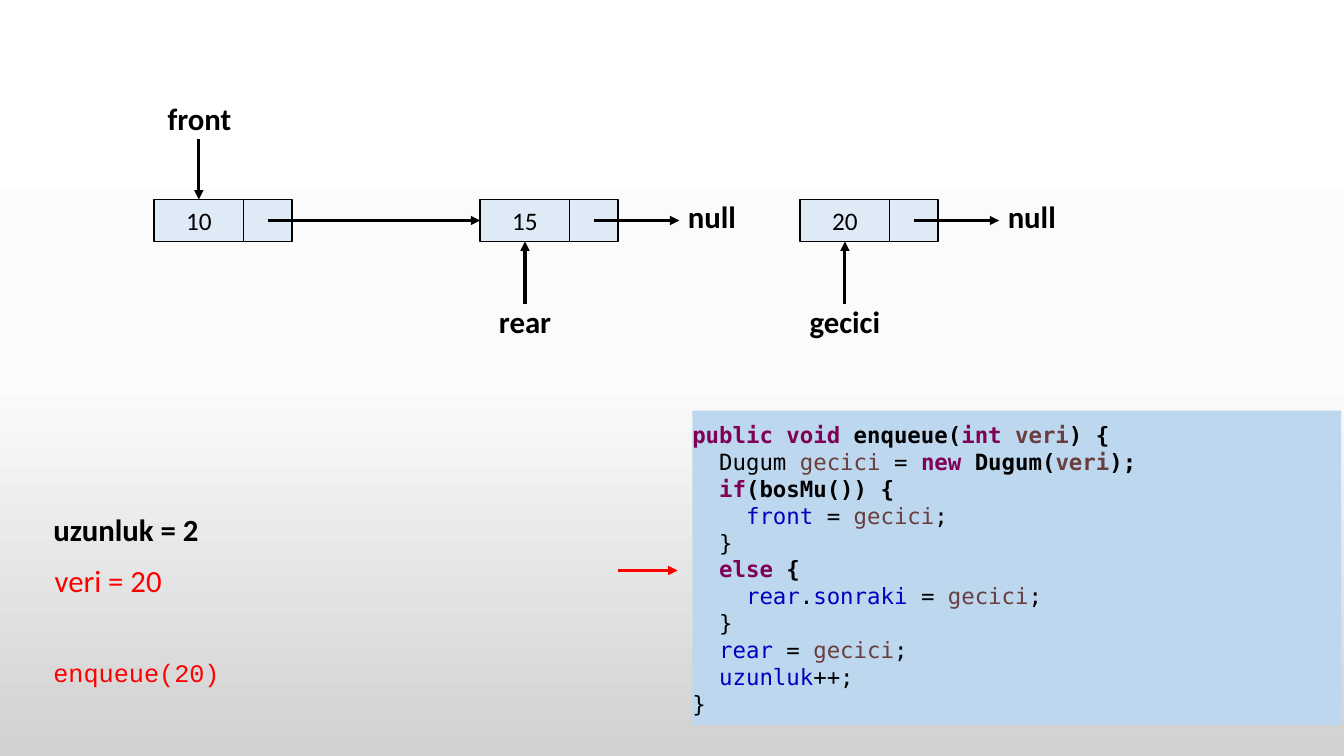
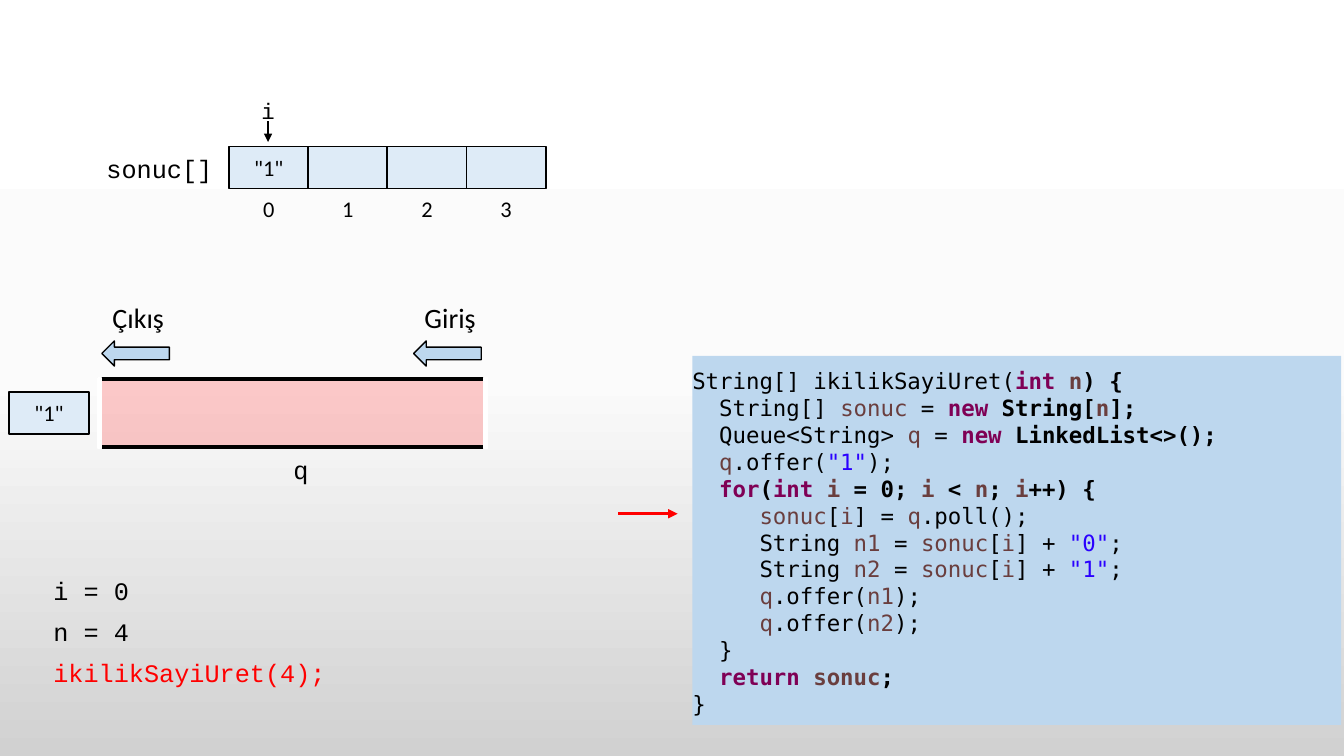
from copy import deepcopy

from lxml import etree
from pptx import Presentation
from pptx.dml.color import RGBColor
from pptx.enum.shapes import MSO_CONNECTOR, MSO_SHAPE
from pptx.enum.text import MSO_ANCHOR, PP_ALIGN
from pptx.oxml.ns import qn
from pptx.util import Pt

RECTANGLE, LEFT_ARROW = MSO_SHAPE.RECTANGLE, MSO_SHAPE.LEFT_ARROW
STRAIGHT = MSO_CONNECTOR.STRAIGHT
LEFT, CENTER = PP_ALIGN.LEFT, PP_ALIGN.CENTER
TOP, MIDDLE, BOTTOM = MSO_ANCHOR.TOP, MSO_ANCHOR.MIDDLE, MSO_ANCHOR.BOTTOM
TOP_SIDE, LEFT_SIDE, BOTTOM_SIDE = 0, 1, 2

COLORS = {
    "black": "000000", "white": "FFFFFF", "red": "FF0000",
    "cell": "DEEBF7", "panel": "BDD7EE",
    "keyword": "7F0055", "variable": "6A3E3E", "field": "0000C0", "string": "2A00FF",
}
BACKGROUND_STOPS = [(0, "FFFFFF"), (0.5, "FBFBFB"), (1, "D1D1D1")]

# Text formats
LABEL = {"name": "Calibri", "size": Pt(22), "bold": True}
VALUE = {"name": "Calibri", "size": Pt(22), "bold": False}
DIRECTION = {"name": "Calibri", "size": Pt(20), "bold": False}
NODE_TEXT = {"name": "Calibri", "size": Pt(18), "bold": False}
CELL_TEXT = {"name": "Calibri", "size": Pt(16), "bold": False}
MONO = {"name": "Courier New", "size": Pt(18), "bold": False}
SMALL_MONO = {"name": "Courier New", "size": Pt(16), "bold": False}
CODE = {"name": "DejaVu Sans Mono", "size": Pt(16)}

# Code runs start with a style letter and are separated by ¦
CODE_STYLES = {
    "K": ("keyword", True), "B": ("black", True), "V": ("variable", True),
    "p": ("black", False), "v": ("variable", False),
    "f": ("field", False), "s": ("string", False),
}
ENQUEUE_CODE = [
    "Kpublic void ¦Benqueue(¦Kint ¦Vveri¦B) {",
    "p  Dugum ¦vgecici¦p = ¦Knew ¦BDugum(¦Vveri¦B);",
    "K  if¦B(bosMu()) {",
    "f    front ¦p= ¦vgecici¦p;",
    "p  }",
    "K  else ¦B{",
    "f    rear¦p.¦fsonraki ¦p= ¦vgecici¦p;",
    "p  }",
    "f  rear ¦p= ¦vgecici¦p;",
    "f  uzunluk¦p++;",
    "p}",
]
BINARY_CODE = [
    "pString[] ikilikSayiUret(¦Kint ¦Vn¦B) {",
    "p  String[] ¦vsonuc¦p = ¦Knew ¦BString[¦Vn¦B];",
    "p  Queue<String> ¦vq¦p = ¦Knew ¦BLinkedList<>();",
    'p  ¦vq¦p.offer(¦s"1"¦p);',
    "K  for¦B(¦Kint ¦Vi¦B = 0; ¦Vi¦B < ¦Vn¦B; ¦Vi¦B++) {",
    "p     ¦vsonuc¦p[¦vi¦p] = ¦vq¦p.poll();",
    'p     String ¦vn1¦p = ¦vsonuc¦p[¦vi¦p] + ¦s"0"¦p;',
    'p     String ¦vn2¦p = ¦vsonuc¦p[¦vi¦p] + ¦s"1"¦p;',
    "p     ¦vq¦p.offer(¦vn1¦p);",
    "p     ¦vq¦p.offer(¦vn2¦p);",
    "p  }",
    "K  return ¦Vsonuc¦B;",
    "p}",
]

# Shared geometry in points
CELL_HEIGHT = 30
NODE_TOP, DATA_WIDTH, LINK_WIDTH = 142.5, 64, 34.5
NODE_MIDDLE = NODE_TOP + CELL_HEIGHT / 2
ARRAY_LEFT, ARRAY_TOP, ARRAY_PITCH, ARRAY_CELL = 163.5, 104.5, 56.5, 57
PANEL_LEFT, PANEL_WIDTH, PANEL_BOTTOM, CODE_LINE = 494.5, 463.5, 517.75, 19.5
NOTE_LEFT = 31


def rgb(name):
    return RGBColor.from_string(COLORS[name])


def style_font(font, text_format, color):
    for attribute, value in text_format.items():
        setattr(font, attribute, value)
    font.color.rgb = rgb(color)


def add_text(slide, text, left, top, width, height, text_format,
             color="black", align=LEFT):
    box = slide.shapes.add_textbox(Pt(left), Pt(top), Pt(width), Pt(height))
    frame = box.text_frame
    frame.word_wrap = False
    frame.vertical_anchor = TOP
    paragraph = frame.paragraphs[0]
    paragraph.alignment = align
    run = paragraph.add_run()
    run.text = text
    style_font(run.font, text_format, color)


def add_centered(slide, text, center, top, width, height, text_format):
    add_text(slide, text, center - width / 2, top, width, height, text_format,
             align=CENTER)


def add_shape(slide, kind, left, top, width, height, fill,
              line="black", line_width=1):
    shape = slide.shapes.add_shape(kind, Pt(left), Pt(top), Pt(width), Pt(height))
    shape.shadow.inherit = False
    shape.fill.solid()
    shape.fill.fore_color.rgb = rgb(fill)
    if line:
        shape.line.color.rgb = rgb(line)
        shape.line.width = Pt(line_width)
    else:
        shape.line.fill.background()
    return shape


def add_cell(slide, left, top, width, text="", text_format=CELL_TEXT):
    cell = add_shape(slide, RECTANGLE, left, top, width, CELL_HEIGHT, "cell")
    if text:
        cell.text_frame.vertical_anchor = MIDDLE
        paragraph = cell.text_frame.paragraphs[0]
        paragraph.alignment = CENTER
        run = paragraph.add_run()
        run.text = text
        style_font(run.font, text_format, "black")
    return cell


def add_arrow(slide, start, end, color="black", width=2.25, target=None, side=None):
    arrow = slide.shapes.add_connector(STRAIGHT, *(Pt(value) for value in start + end))
    arrow.line.color.rgb = rgb(color)
    arrow.line.width = Pt(width)
    properties = arrow.element.spPr
    etree.SubElement(properties.find(qn("a:ln")), qn("a:tailEnd"), type="triangle")
    etree.SubElement(properties, qn("a:effectLst"))
    if target is not None:
        arrow.end_connect(target, side)


def add_node(slide, left, text):
    data = add_cell(slide, left, NODE_TOP, DATA_WIDTH, text, NODE_TEXT)
    add_cell(slide, left + DATA_WIDTH, NODE_TOP, LINK_WIDTH)
    return data


def link_start(left):
    return left + DATA_WIDTH + LINK_WIDTH / 2, NODE_MIDDLE


def add_tail_node(slide, left, text, name):
    """Node that points to null and is named from below."""
    data = add_node(slide, left, text)
    x, y = link_start(left)
    add_arrow(slide, (x, y), (x + 61, y))
    add_text(slide, "null", left + 141, 137.5, 49, 34, LABEL, align=CENTER)
    center = left + DATA_WIDTH / 2
    add_arrow(slide, (center, 217.5), (center, NODE_TOP + CELL_HEIGHT),
              target=data, side=BOTTOM_SIDE)
    add_centered(slide, name, center, 213, 65, 34, LABEL)
    return data


def add_code_panel(slide, lines, arrow_y):
    height = len(lines) * CODE_LINE + 10
    panel = add_shape(slide, RECTANGLE, PANEL_LEFT, PANEL_BOTTOM - height,
                      PANEL_WIDTH, height, "panel", line=None)
    frame = panel.text_frame
    frame_format = {"word_wrap": True, "vertical_anchor": BOTTOM,
                    "margin_left": 0, "margin_right": 0,
                    "margin_top": Pt(5.75), "margin_bottom": Pt(5.75)}
    for attribute, value in frame_format.items():
        setattr(frame, attribute, value)
    for index, line in enumerate(lines):
        paragraph = frame.add_paragraph() if index else frame.paragraphs[0]
        paragraph.alignment = LEFT
        for token in line.split("¦"):
            color, bold = CODE_STYLES[token[0]]
            run = paragraph.add_run()
            run.text = token[1:]
            style_font(run.font, {**CODE, "bold": bold}, color)
    # Marker of the current line
    add_arrow(slide, (441.5, arrow_y), (484, arrow_y), "red")


def set_background(master):
    fill = master.background.fill
    fill.gradient()
    fill.gradient_angle = 270
    stops = master.element.find(".//" + qn("a:gsLst"))
    stops.append(deepcopy(stops[0]))
    for stop, (position, color) in zip(fill.gradient_stops, BACKGROUND_STOPS):
        stop.position = position
        stop.color.rgb = RGBColor.from_string(color)


def build_enqueue(slide):
    # Linked list
    first_left, rear_left, new_left = 110, 343, 571.5
    first = add_node(slide, first_left, "10")
    rear = add_tail_node(slide, rear_left, "15", "rear")
    add_tail_node(slide, new_left, "20", "gecici")
    add_arrow(slide, link_start(first_left), (rear_left, NODE_MIDDLE),
              target=rear, side=LEFT_SIDE)
    center = first_left + DATA_WIDTH / 2
    add_arrow(slide, (center, 99.5), (center, NODE_TOP), target=first, side=TOP_SIDE)
    add_centered(slide, "front", center + 0.5, 67.5, 60.5, 34, LABEL)

    # Variables and call
    add_text(slide, "uzunluk = 2", NOTE_LEFT, 361.5, 119.5, 34, LABEL)
    add_text(slide, "veri = 20", NOTE_LEFT + 1, 397.5, 92, 34, VALUE, "red")
    add_text(slide, "enqueue(20)", NOTE_LEFT, 466, 135.5, 29, MONO, "red")
    add_code_panel(slide, ENQUEUE_CODE, 407.5)


def build_binary(slide):
    # Result array
    add_text(slide, "sonuc[]", 69, 106, 91.5, 29, MONO)
    for index, text in enumerate(['"1"', "", "", ""]):
        left = ARRAY_LEFT + index * ARRAY_PITCH
        add_cell(slide, left, ARRAY_TOP, ARRAY_CELL, text)
        add_centered(slide, str(index), left + ARRAY_CELL / 2, 135.5, 23, 26.5, CELL_TEXT)
    center = ARRAY_LEFT + ARRAY_CELL / 2
    add_arrow(slide, (center - 0.5, 86.5), (center - 0.5, 101.5), width=1)
    add_centered(slide, "i", center - 0.5, 65.5, 24.5, 26.5, SMALL_MONO)

    # Queue, open at both ends
    queue_left, queue_width = 71, 275.5
    queue = add_shape(slide, RECTANGLE, queue_left, 270.5, queue_width, 49,
                      "red", line_width=3)
    tint = queue.element.spPr.find(qn("a:solidFill"))[0]
    etree.SubElement(tint, qn("a:alpha"), val="20000")
    for end in (queue_left, queue_left + queue_width):
        add_shape(slide, RECTANGLE, end - 1.25, 270, 3, 50.5, "white", "white")
    for text, left in (("Çıkış", 72.75), ("Giriş", 295.5)):
        add_shape(slide, LEFT_ARROW, left, 243.5, 48.25, 18, "panel")
        add_text(slide, text, left, 211, 52, 31.5, DIRECTION, align=CENTER)
    add_centered(slide, "q", 215, 321, 25, 29, MONO)
    add_cell(slide, 6.5, 280, ARRAY_CELL, '"1"')

    # Variables and call
    notes = [("i = 0", "black", 69), ("n = 4", "black", 69),
             ("ikilikSayiUret(4);", "red", 212.5)]
    for index, (text, color, width) in enumerate(notes):
        add_text(slide, text, NOTE_LEFT, 407.5 + index * 29.25, width, 29, MONO, color)
    add_code_panel(slide, BINARY_CODE, 367)


def main():
    presentation = Presentation()
    presentation.slide_width, presentation.slide_height = Pt(960), Pt(540)
    set_background(presentation.slide_master)
    blank_layout = presentation.slide_layouts[6]
    for build in (build_enqueue, build_binary):
        build(presentation.slides.add_slide(blank_layout))
    presentation.save("out.pptx")


if __name__ == "__main__":
    main()
